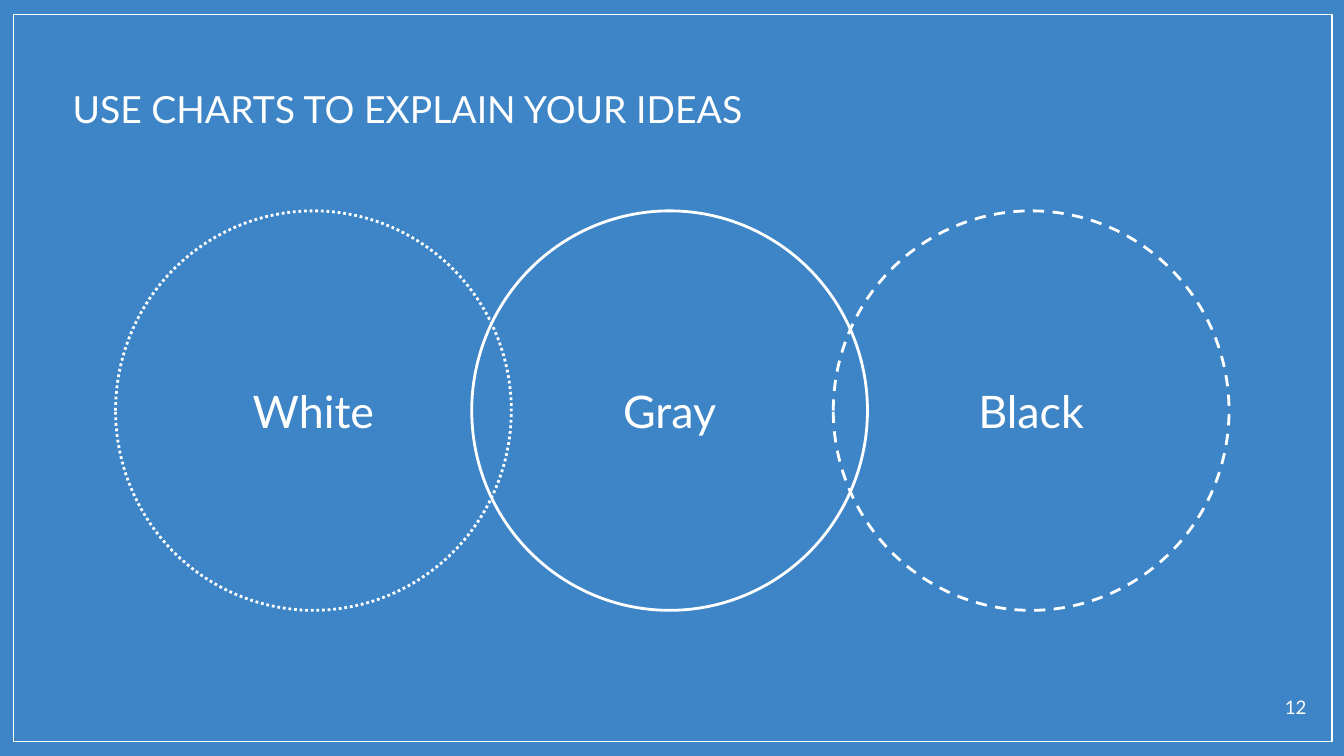
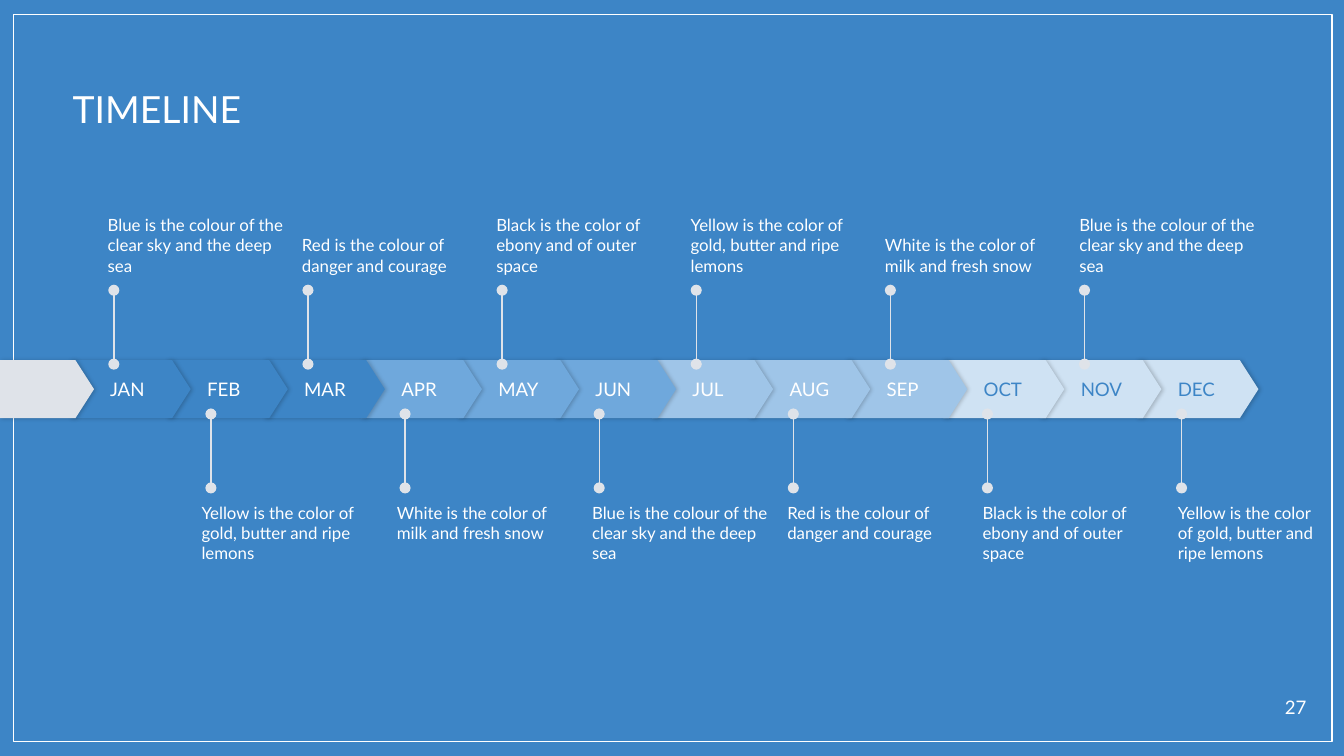
"""Build a three-circle diagram slide and a monthly timeline slide."""
import dataclasses

import lxml.etree
import pptx
import pptx.dml.color
import pptx.enum.dml
import pptx.enum.shapes
import pptx.enum.text
import pptx.oxml.ns
import pptx.util

Pt = pptx.util.Pt
Shape = pptx.enum.shapes.MSO_SHAPE
Dash = pptx.enum.dml.MSO_LINE
Anchor = pptx.enum.text.MSO_ANCHOR
Align = pptx.enum.text.PP_ALIGN
qn = pptx.oxml.ns.qn


@dataclasses.dataclass(frozen=True)
class Theme:
    font: str = "Lato"
    blue: str = "3D85C6"
    mid_blue: str = "6FA8DC"
    light_blue: str = "9FC5E8"
    pale_blue: str = "CFE2F3"
    gray: str = "DFE3E9"
    white: str = "FFFFFF"
    title_size: float = 20
    circle_size: float = 24
    label_size: float = 10
    note_size: float = 9
    thin: float = 0.75
    thick: float = 1.5


THEME = Theme()

SLIDE_SIZE = (720, 405)
FRAME = (7.2, 7.9, 706.3, 389.5)
TITLE_BOX = (31.7, 38.9, 648, 32.4)
NUMBER_BOX = (671, 365.8, 36, 23)
PADDING = (7.2, 7.2, 7.2, 7.2)

CHARTS_TITLE, CHARTS_NUMBER = "USE CHARTS TO EXPLAIN YOUR IDEAS", "12"
CIRCLES = [
    ("Gray", 252.7, Dash.SOLID),
    ("White", 61.9, Dash.ROUND_DOT),
    ("Black", 446.4, Dash.DASH),
]
CIRCLE_TOP, CIRCLE_WIDTH, CIRCLE_HEIGHT = 113, 212, 214

TIMELINE_TITLE, TIMELINE_NUMBER = "TIMELINE", "27"
QUARTERS = [
    (("JAN", "FEB", "MAR"), THEME.blue, THEME.white),
    (("APR", "MAY", "JUN"), THEME.mid_blue, THEME.white),
    (("JUL", "AUG", "SEP"), THEME.light_blue, THEME.white),
    (("OCT", "NOV", "DEC"), THEME.pale_blue, THEME.blue),
]
BLUE = "Blue is the colour of the clear sky and the deep sea"
RED = "Red is the colour of danger and courage"
BLACK = "Black is the color of ebony and of outer space"
YELLOW = "Yellow is the color of gold, butter and ripe lemons"
WHITE = "White is the color of milk and fresh snow"

MONTH_STEP = 52
BAND_TOP, BAND_HEIGHT = 193, 31
MONTH_LEFT, MONTH_WIDTH, START_WIDTH = 37.4, 64.8, 50.4
PIN_LEFT = 61
NOTE_WIDTH, NOTE_HEIGHT, NOTE_LIMIT = 98.6, 41.8, 712
NOTE_ROWS = [
    dict(notes=[BLUE, RED, BLACK, YELLOW, WHITE, BLUE], first_month=0,
         pin=(195.1, 155.5), left=57.7, step=104.1, top=105.8, anchor=Anchor.BOTTOM),
    dict(notes=[YELLOW, WHITE, BLUE, RED, BLACK, YELLOW], first_month=1,
         pin=(261.4, 221.8), left=108, step=104.6, top=269.3, anchor=Anchor.TOP),
]


def rgb(color):
    return pptx.dml.color.RGBColor.from_string(color)


def points(values):
    return [Pt(value) for value in values]


def write(shape, text, size, color=THEME.white, align=Align.LEFT,
          anchor=Anchor.TOP, insets=PADDING):
    frame = shape.text_frame
    frame.word_wrap = True
    frame.auto_size = pptx.enum.text.MSO_AUTO_SIZE.NONE
    frame.vertical_anchor = anchor
    (frame.margin_left, frame.margin_top,
     frame.margin_right, frame.margin_bottom) = points(insets)
    paragraph = frame.paragraphs[0]
    paragraph.alignment = align
    run = paragraph.add_run()
    run.text = text
    run.font.name = THEME.font
    run.font.size = Pt(size)
    run.font.color.rgb = rgb(color)


def add_text(slide, box, text, size, **options):
    write(slide.shapes.add_textbox(*points(box)), text, size, **options)


def add_shape(slide, kind, box, fill=None, line_width=None):
    shape = slide.shapes.add_shape(kind, *points(box))
    shape.shadow.inherit = False
    if fill:
        shape.fill.solid()
        shape.fill.fore_color.rgb = rgb(fill)
    else:
        shape.fill.background()
    if line_width:
        shape.line.color.rgb = rgb(THEME.white)
        shape.line.width = Pt(line_width)
    else:
        shape.line.fill.background()
    return shape


def add_band_part(slide, left, width, fill):
    shape = add_shape(slide, Shape.PENTAGON, (left, BAND_TOP, width, BAND_HEIGHT), fill)
    shape.adjustments[0] = 0.32
    effects = shape.element.spPr.find(qn("a:effectLst"))
    shadow = lxml.etree.SubElement(
        effects, qn("a:outerShdw"), blurRad=str(Pt(2.2)), dist=str(Pt(0.8)),
        dir="0", algn="ctr", rotWithShape="0")
    color = lxml.etree.SubElement(shadow, qn("a:srgbClr"), val="000000")
    lxml.etree.SubElement(color, qn("a:alpha"), val="20000")
    return shape


def add_pin(slide, x, start, end):
    pin = slide.shapes.add_connector(
        pptx.enum.shapes.MSO_CONNECTOR.STRAIGHT, *points((x, start, x, end)))
    pin.line.color.rgb = rgb(THEME.gray)
    pin.line.width = Pt(THEME.thin)
    properties = pin.element.spPr
    for tag in ("a:headEnd", "a:tailEnd"):
        lxml.etree.SubElement(properties.find(qn("a:ln")), qn(tag), type="oval")
    lxml.etree.SubElement(properties, qn("a:effectLst"))


def add_slide(presentation, layout, title, number):
    slide = presentation.slides.add_slide(layout)
    heading = slide.shapes.title
    heading.left, heading.top, heading.width, heading.height = points(TITLE_BOX)
    write(heading, title, THEME.title_size)
    add_text(slide, NUMBER_BOX, number, THEME.label_size, align=Align.RIGHT)
    return slide


def style_layout(layout, slide):
    layout.background.fill.solid()
    layout.background.fill.fore_color.rgb = rgb(THEME.blue)
    frame = add_shape(slide, Shape.RECTANGLE, FRAME, line_width=THEME.thin)
    layout.element.cSld.spTree.append(frame.element)


def draw_circles(slide):
    for name, left, dash in CIRCLES:
        box = (left, CIRCLE_TOP, CIRCLE_WIDTH, CIRCLE_HEIGHT)
        circle = add_shape(slide, Shape.OVAL, box, line_width=THEME.thick)
        circle.line.dash_style = dash
        write(circle, name, THEME.circle_size, align=Align.CENTER, anchor=Anchor.MIDDLE)


def draw_timeline(slide):
    months = [(month, fill, color) for names, fill, color in QUARTERS for month in names]
    for index, (month, fill, color) in reversed(list(enumerate(months))):
        part = add_band_part(slide, MONTH_LEFT + index * MONTH_STEP, MONTH_WIDTH, fill)
        write(part, month, THEME.label_size, color, anchor=Anchor.MIDDLE,
              insets=(21.6, 0, 0, 0))
    add_band_part(slide, 0, START_WIDTH, THEME.gray)
    for row in NOTE_ROWS:
        for index, note in enumerate(row["notes"]):
            month = row["first_month"] + 2 * index
            add_pin(slide, PIN_LEFT + month * MONTH_STEP, *row["pin"])
            left = row["left"] + index * row["step"]
            width = min(NOTE_WIDTH, NOTE_LIMIT - left)
            add_text(slide, (left, row["top"], width, NOTE_HEIGHT), note,
                     THEME.note_size, anchor=row["anchor"], insets=(0, 0, 0, 0))


def main():
    presentation = pptx.Presentation()
    presentation.slide_width, presentation.slide_height = points(SLIDE_SIZE)
    layout = presentation.slide_layouts.get_by_name("Title Only")
    charts = add_slide(presentation, layout, CHARTS_TITLE, CHARTS_NUMBER)
    style_layout(layout, charts)
    draw_circles(charts)
    draw_timeline(add_slide(presentation, layout, TIMELINE_TITLE, TIMELINE_NUMBER))
    presentation.save("out.pptx")


if __name__ == "__main__":
    main()
